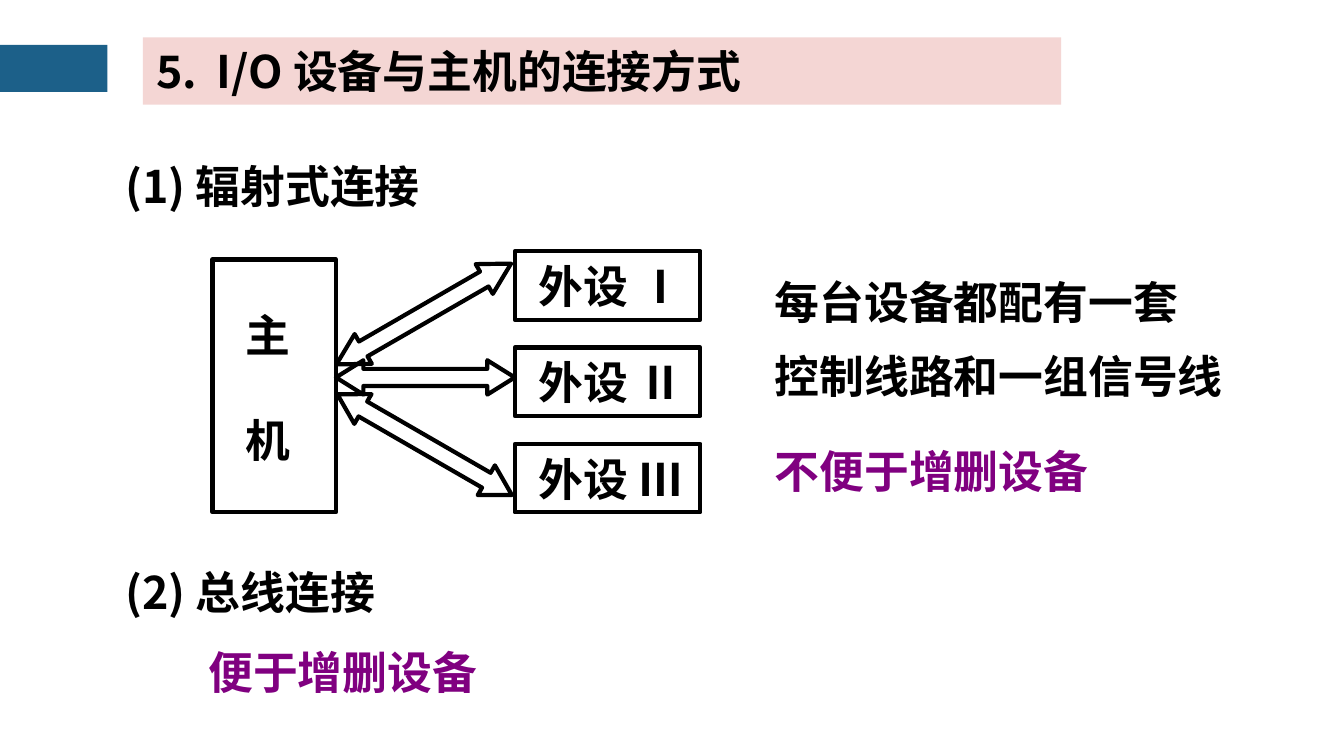
import pptx
import pptx.dml.color
import pptx.enum.shapes
import pptx.enum.text
import pptx.oxml
import pptx.oxml.ns
import pptx.util

Pt = pptx.util.Pt
SHAPE = pptx.enum.shapes.MSO_SHAPE
FONT = "Noto Sans CJK SC"
COLORS = {"text": "000000", "line": "000000", "note": "800080",
          "bar": "1C6089", "title": "F4D6D4"}
LINE_HEIGHT = 36


def color(name):
    return pptx.dml.color.RGBColor.from_string(COLORS[name])


def fill_shape(shape, fill):
    shape.fill.solid()
    shape.fill.fore_color.rgb = color(fill)


def add_tab_stop(paragraph, position):
    tabs = pptx.oxml.parse_xml(
        f'<a:tabLst {pptx.oxml.ns.nsdecls("a")}>'
        f'<a:tab pos="{Pt(position)}" algn="l"/></a:tabLst>')
    paragraph._p.get_or_add_pPr().append(tabs)


def write_text(shape, text, text_color="text", inset=7.2, tab=None):
    frame = shape.text_frame
    frame.word_wrap = True
    frame.auto_size = pptx.enum.text.MSO_AUTO_SIZE.NONE
    frame.vertical_anchor = pptx.enum.text.MSO_ANCHOR.MIDDLE
    frame.margin_left = Pt(inset)
    frame.margin_right = frame.margin_top = frame.margin_bottom = 0
    paragraph = frame.paragraphs[0]
    paragraph.text = text
    paragraph.alignment = pptx.enum.text.PP_ALIGN.LEFT
    if tab:
        add_tab_stop(paragraph, tab)
    font = paragraph.font
    font.size = Pt(24)
    font.bold = True
    font.color.rgb = color(text_color)
    font.name = FONT
    # Chinese characters take their typeface from a:ea
    paragraph._p.pPr.find(pptx.oxml.ns.qn("a:defRPr")).append(
        pptx.oxml.parse_xml(
            f'<a:ea {pptx.oxml.ns.nsdecls("a")} typeface="{FONT}"/>'))


def add_title(slide, text):
    title = slide.shapes.title
    title.left, title.top = Pt(76.5), Pt(20)
    title.width, title.height = Pt(492), Pt(LINE_HEIGHT)
    fill_shape(title, "title")
    write_text(title, text, tab=32.5)


def add_bar(slide):
    bar = slide.shapes.add_shape(SHAPE.RECTANGLE, 0, Pt(24), Pt(57.6), Pt(25.2))
    bar.shadow.inherit = False
    fill_shape(bar, "bar")
    bar.line.fill.background()


def add_text(slide, text, left, top, width, text_color="text"):
    box = slide.shapes.add_textbox(Pt(left), Pt(top), Pt(width), Pt(LINE_HEIGHT))
    write_text(box, text, text_color)


def add_outline(slide, kind, left, top, width, height):
    """Add an unfilled shape with the diagram's black outline."""
    shape = slide.shapes.add_shape(kind, Pt(left), Pt(top), Pt(width), Pt(height))
    shape.shadow.inherit = False
    shape.fill.background()
    shape.line.color.rgb = color("line")
    shape.line.width = Pt(2.25)
    return shape


def add_arrow(slide, left, top, width, head, rotation):
    arrow = add_outline(slide, SHAPE.LEFT_RIGHT_ARROW, left, top, width, 18.4)
    arrow.adjustments[0] = 0.5
    arrow.adjustments[1] = head
    arrow.rotation = rotation


def add_radial_diagram(slide):
    for index, numeral in enumerate("ⅠⅡⅢ"):
        device = add_outline(slide, SHAPE.RECTANGLE,
                             275.8, 134.6 + 51.6 * index, 99.4, 36.7)
        write_text(device, f"外设 {numeral}", inset=12.6)
    add_arrow(slide, 180, 193, 95.8, 0.8, 0)
    add_arrow(slide, 173.5, 229, 108, 0.86, 30)
    add_arrow(slide, 173, 159, 108, 0.9, 150)
    for index, character in enumerate("主机"):
        add_text(slide, character, 124.6, 161.5 + 56 * index, 39)
    add_outline(slide, SHAPE.RECTANGLE, 113.8, 139, 66.2, 135.4)


def main():
    presentation = pptx.Presentation()
    presentation.slide_width = Pt(720)
    presentation.slide_height = Pt(405)
    slide = presentation.slides.add_slide(presentation.slide_layouts[5])

    add_bar(slide)
    add_title(slide, "5.\tI/O 设备与主机的连接方式")
    add_text(slide, "(1) 辐射式连接", 60, 81.5, 306)
    add_text(slide, "(2) 总线连接", 60, 299, 282)
    add_radial_diagram(slide)
    add_text(slide, "不便于增删设备", 408, 234, 246, "note")
    add_text(slide, "每台设备都配有一套", 408, 143.5, 257)
    add_text(slide, "控制线路和一组信号线", 408, 183, 257)
    add_text(slide, "便于增删设备", 104.5, 342, 474, "note")

    presentation.save("out.pptx")


if __name__ == "__main__":
    main()
